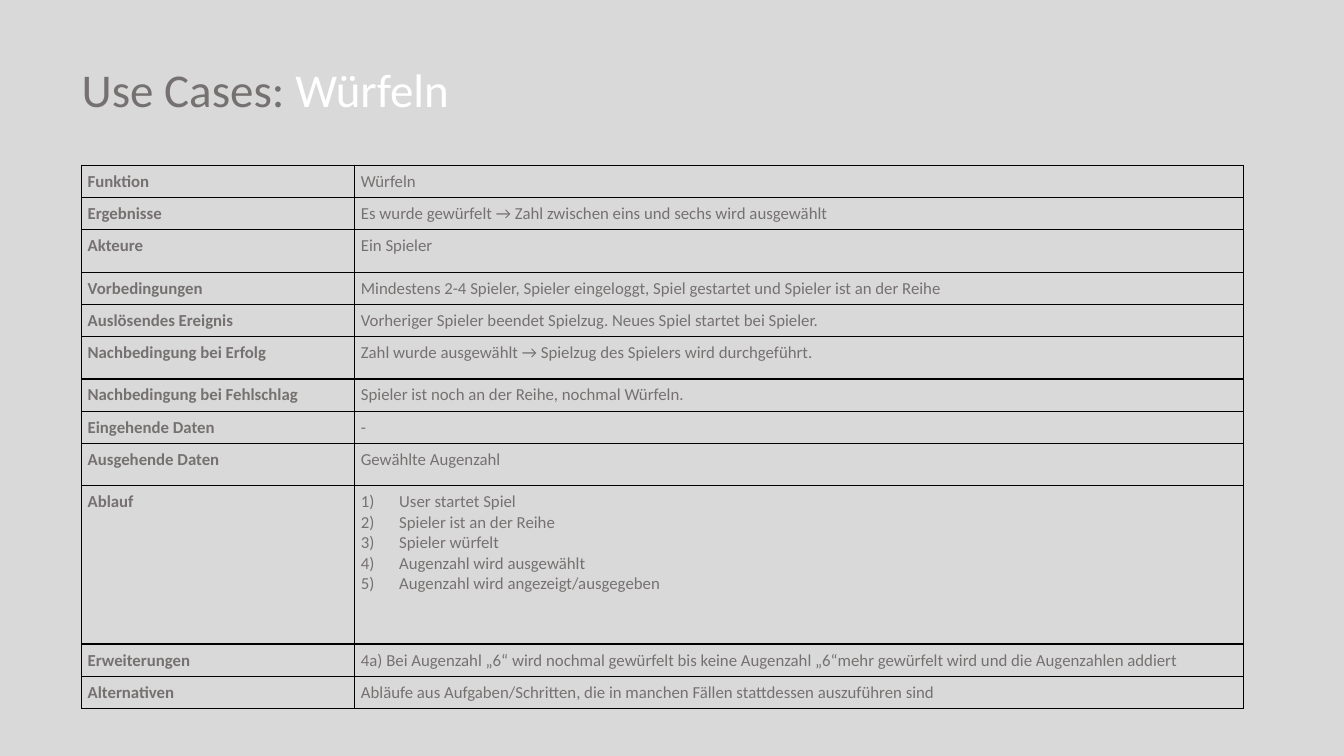
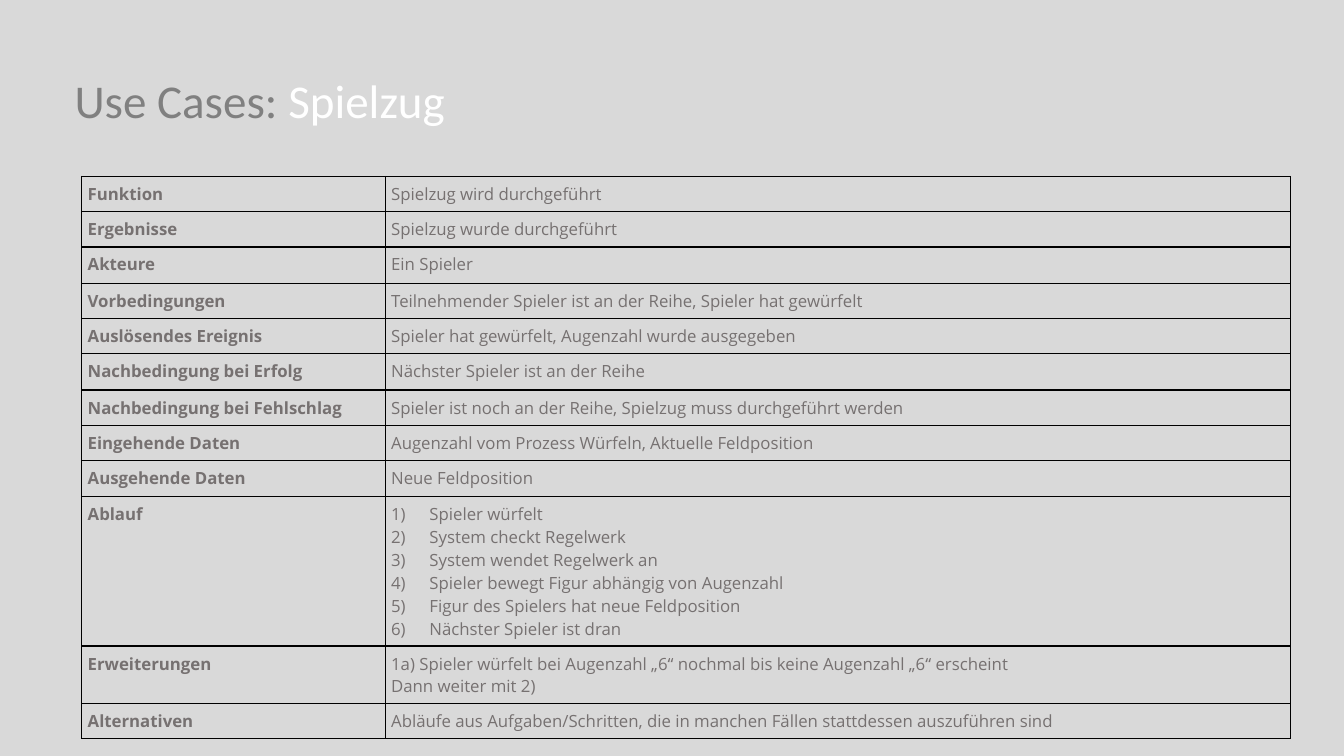
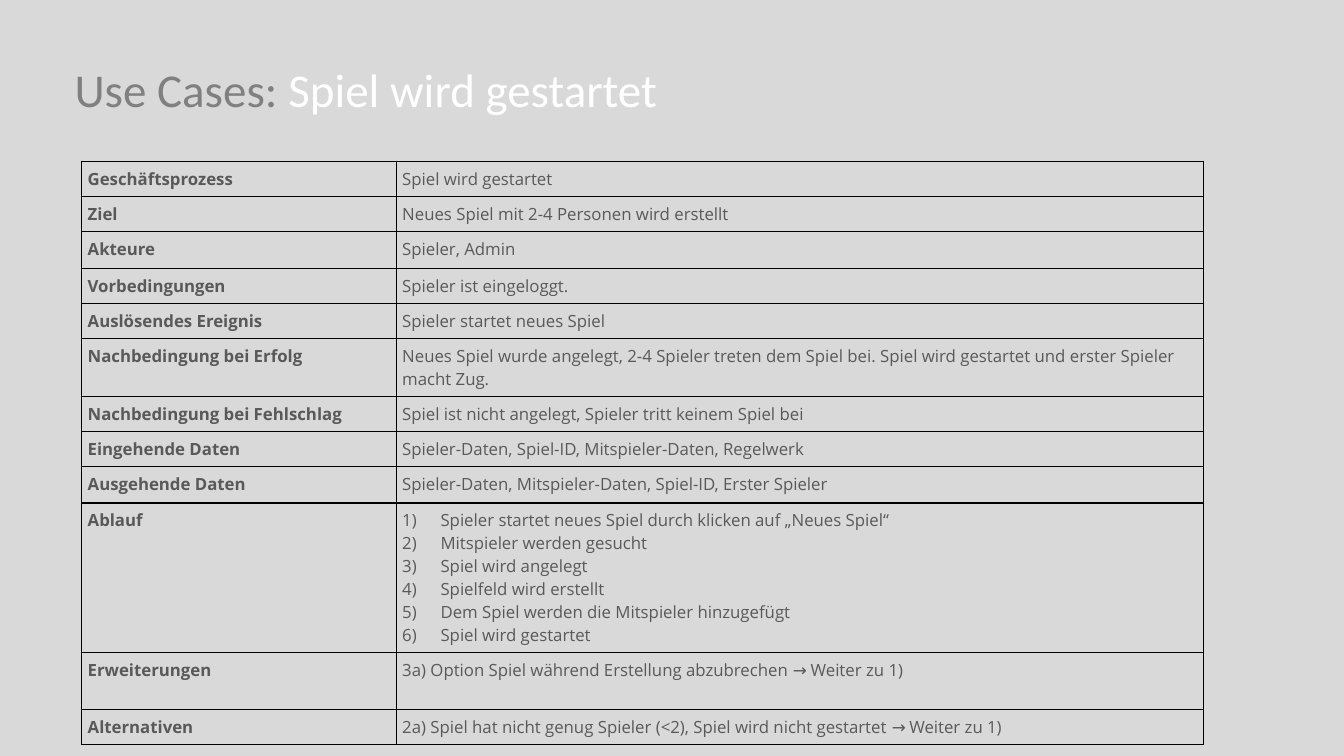
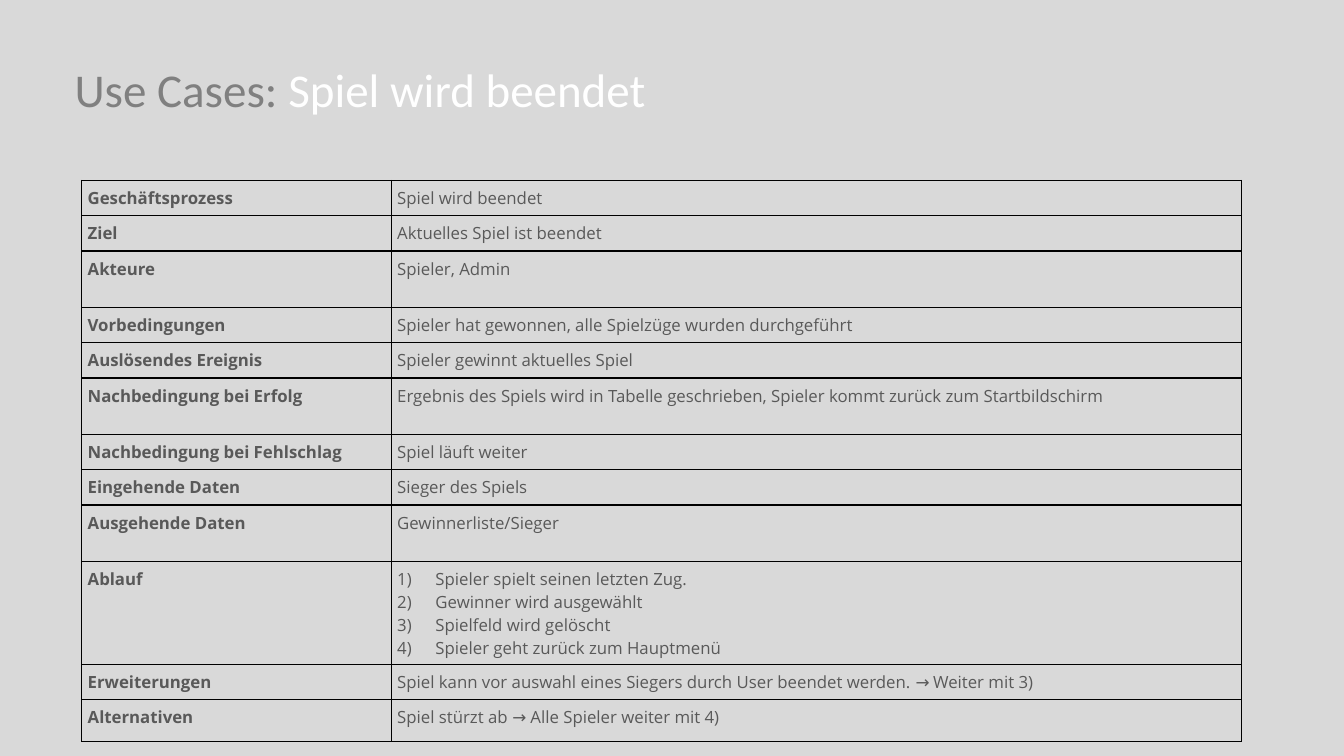
from lxml import etree
from pptx import Presentation
from pptx.dml.color import RGBColor
from pptx.enum.text import MSO_ANCHOR
from pptx.oxml.ns import qn
from pptx.util import Inches, Pt

TOP = MSO_ANCHOR.TOP
BLANK_LAYOUT = 6

BACKGROUND = "D9D9D9"
WHITE = "FFFFFF"
BLACK = "000000"
WARM_GRAY = "767171"
MID_GRAY = "808080"
DARK_GRAY = "595959"

TITLE_FONT = "Calibri"
BODY_FONT = "Open Sans"
TITLE_SIZE = 33.6
CELL_SIZE = 12
CELL_MARGIN = Inches(0.06)
LIST_INDENT = Inches(0.38)
TABLE_LEFT = 0.81

FUNCTION_LABELS = ["Funktion", "Ergebnisse"]
PROCESS_LABELS = ["Geschäftsprozess", "Ziel"]
COMMON_LABELS = [
    "Akteure", "Vorbedingungen", "Auslösendes Ereignis",
    "Nachbedingung bei Erfolg", "Nachbedingung bei Fehlschlag",
    "Eingehende Daten", "Ausgehende Daten", "Ablauf", "Erweiterungen",
    "Alternativen",
]
STEPS_LABEL = "Ablauf"

# A value that is a list holds one paragraph per entry.
USE_CASES = [
    {
        "name": "Würfeln",
        "title_at": (0.81, 0.59, 10.8, 0.98),
        "title_color": WARM_GRAY,
        "table_top": 1.64,
        "columns": (2.71, 8.81),
        "row_height": 0.32,
        "tall_rows": {
            "Akteure": 0.42, "Nachbedingung bei Erfolg": 0.42,
            "Ausgehende Daten": 0.42, "Ablauf": 1.57,
        },
        "font": TITLE_FONT,
        "color": WARM_GRAY,
        "border": 1,
        "labels": FUNCTION_LABELS,
        "values": [
            "Würfeln",
            "Es wurde gewürfelt → Zahl zwischen eins und sechs wird ausgewählt",
            "Ein Spieler",
            "Mindestens 2-4 Spieler, Spieler eingeloggt, Spiel gestartet und "
            "Spieler ist an der Reihe",
            "Vorheriger Spieler beendet Spielzug. Neues Spiel startet bei Spieler.",
            "Zahl wurde ausgewählt → Spielzug des Spielers wird durchgeführt.",
            "Spieler ist noch an der Reihe, nochmal Würfeln.",
            "-",
            "Gewählte Augenzahl",
            [
                "User startet Spiel",
                "Spieler ist an der Reihe",
                "Spieler würfelt",
                "Augenzahl wird ausgewählt",
                "Augenzahl wird angezeigt/ausgegeben",
            ],
            "4a) Bei Augenzahl „6“ wird nochmal gewürfelt bis keine Augenzahl "
            "„6“mehr gewürfelt wird und die Augenzahlen addiert",
            "Abläufe aus Aufgaben/Schritten, die in manchen Fällen "
            "stattdessen auszuführen sind",
        ],
    },
    {
        "name": "Spielzug",
        "title_at": (0.74, 0.7, 10.87, 0.88),
        "title_color": MID_GRAY,
        "table_top": 1.75,
        "columns": (3.01, 8.98),
        "row_height": 0.35,
        "tall_rows": {
            "Akteure": 0.36, "Nachbedingung bei Erfolg": 0.36,
            "Ausgehende Daten": 0.36, "Ablauf": 1.48, "Erweiterungen": 0.57,
        },
        "font": BODY_FONT,
        "color": WARM_GRAY,
        "border": 0.96,
        "labels": FUNCTION_LABELS,
        "values": [
            "Spielzug wird durchgeführt",
            "Spielzug wurde durchgeführt",
            "Ein Spieler",
            "Teilnehmender Spieler ist an der Reihe, Spieler hat gewürfelt",
            "Spieler hat gewürfelt, Augenzahl wurde ausgegeben",
            "Nächster Spieler ist an der Reihe",
            "Spieler ist noch an der Reihe, Spielzug muss durchgeführt werden",
            "Augenzahl vom Prozess Würfeln, Aktuelle Feldposition",
            "Neue Feldposition",
            [
                "Spieler würfelt",
                "System checkt Regelwerk",
                "System wendet Regelwerk an",
                "Spieler bewegt Figur abhängig von Augenzahl",
                "Figur des Spielers hat neue Feldposition",
                "Nächster Spieler ist dran",
            ],
            [
                "1a) Spieler würfelt bei Augenzahl „6“ nochmal bis keine "
                "Augenzahl „6“ erscheint",
                "Dann weiter mit 2)",
            ],
            "Abläufe aus Aufgaben/Schritten, die in manchen Fällen "
            "stattdessen auszuführen sind",
        ],
    },
    {
        "name": "Spiel wird gestartet",
        "title_at": (0.74, 0.59, 10.87, 0.98),
        "title_color": MID_GRAY,
        "table_top": 1.6,
        "columns": (3.12, 8.01),
        "row_height": 0.35,
        "tall_rows": {
            "Akteure": 0.36, "Nachbedingung bei Erfolg": 0.57,
            "Ausgehende Daten": 0.36, "Ablauf": 1.48, "Erweiterungen": 0.57,
        },
        "font": BODY_FONT,
        "color": DARK_GRAY,
        "border": 0.96,
        "labels": PROCESS_LABELS,
        "values": [
            "Spiel wird gestartet",
            "Neues Spiel mit 2-4 Personen wird erstellt",
            "Spieler, Admin",
            "Spieler ist eingeloggt.",
            "Spieler startet neues Spiel",
            "Neues Spiel wurde angelegt, 2-4 Spieler treten dem Spiel bei. "
            "Spiel wird gestartet und erster Spieler macht Zug.",
            "Spiel ist nicht angelegt, Spieler tritt keinem Spiel bei",
            "Spieler-Daten, Spiel-ID, Mitspieler-Daten, Regelwerk",
            "Spieler-Daten, Mitspieler-Daten, Spiel-ID, Erster Spieler",
            [
                "Spieler startet neues Spiel durch klicken auf „Neues Spiel“",
                "Mitspieler werden gesucht",
                "Spiel wird angelegt",
                "Spielfeld wird erstellt",
                "Dem Spiel werden die Mitspieler hinzugefügt",
                "Spiel wird gestartet",
            ],
            "3a) Option Spiel während Erstellung abzubrechen → Weiter zu 1)",
            "2a) Spiel hat nicht genug Spieler (<2), Spiel wird nicht "
            "gestartet → Weiter zu 1)",
        ],
    },
    {
        "name": "Spiel wird beendet",
        "title_at": (0.74, 0.59, 10.87, 0.98),
        "title_color": MID_GRAY,
        "table_top": 1.79,
        "columns": (3.07, 8.43),
        "row_height": 0.35,
        "tall_rows": {
            "Akteure": 0.56, "Nachbedingung bei Erfolg": 0.56,
            "Ausgehende Daten": 0.56, "Ablauf": 1.02, "Alternativen": 0.42,
        },
        "font": BODY_FONT,
        "color": DARK_GRAY,
        "border": 0.96,
        "labels": PROCESS_LABELS,
        "values": [
            "Spiel wird beendet",
            "Aktuelles Spiel ist beendet",
            "Spieler, Admin",
            "Spieler hat gewonnen, alle Spielzüge wurden durchgeführt",
            "Spieler gewinnt aktuelles Spiel",
            "Ergebnis des Spiels wird in Tabelle geschrieben, Spieler kommt "
            "zurück zum Startbildschirm",
            "Spiel läuft weiter",
            "Sieger des Spiels",
            "Gewinnerliste/Sieger",
            [
                "Spieler spielt seinen letzten Zug.",
                "Gewinner wird ausgewählt",
                "Spielfeld wird gelöscht",
                "Spieler geht zurück zum Hauptmenü",
            ],
            "Spiel kann vor auswahl eines Siegers durch User beendet werden. "
            "→ Weiter mit 3)",
            "Spiel stürzt ab → Alle Spieler weiter mit 4)",
        ],
    },
]


def rgb(color):
    """Turn a hex string into a colour."""
    return RGBColor.from_string(color)


def add_run(paragraph, text, *, font, size, color, bold=False):
    """Append formatted text to a paragraph."""
    run = paragraph.add_run()
    run.text = text
    run.font.name = font
    run.font.size = Pt(size)
    run.font.bold = bold
    run.font.color.rgb = rgb(color)


def number_paragraph(paragraph):
    """Give a paragraph automatic numbering and a hanging indent."""
    properties = paragraph._p.get_or_add_pPr()
    properties.set("marL", str(LIST_INDENT))
    properties.set("indent", str(-LIST_INDENT))
    etree.SubElement(properties, qn("a:buAutoNum"), type="arabicParenR")


def set_borders(cell, width):
    """Draw a black line on all four sides of a cell."""
    properties = cell._tc.get_or_add_tcPr()
    for position, side in enumerate(("a:lnL", "a:lnR", "a:lnT", "a:lnB")):
        line = etree.Element(qn(side), w=str(Pt(width)))
        fill = etree.SubElement(line, qn("a:solidFill"))
        etree.SubElement(fill, qn("a:srgbClr"), val=BLACK)
        properties.insert(position, line)


def fill_cell(cell, lines, *, border, numbered=False, **text_format):
    """Write lines into a transparent, bordered cell."""
    cell.fill.background()
    cell.margin_left = cell.margin_right = CELL_MARGIN
    cell.margin_top = cell.margin_bottom = CELL_MARGIN
    cell.vertical_anchor = TOP
    set_borders(cell, border)
    frame = cell.text_frame
    for index, line in enumerate(lines):
        paragraph = frame.add_paragraph() if index else frame.paragraphs[0]
        if numbered:
            number_paragraph(paragraph)
        add_run(paragraph, line, **text_format)


def add_title(slide, use_case):
    """Add the two-coloured slide title."""
    box = slide.shapes.add_textbox(*map(Inches, use_case["title_at"]))
    frame = box.text_frame
    frame.word_wrap = True
    frame.vertical_anchor = TOP
    frame.margin_left = frame.margin_right = 0
    frame.margin_top = frame.margin_bottom = Inches(0.01)
    parts = [("Use Cases: ", use_case["title_color"]), (use_case["name"], WHITE)]
    for text, color in parts:
        add_run(frame.paragraphs[0], text, font=TITLE_FONT, size=TITLE_SIZE,
                color=color)


def add_use_case_table(slide, use_case):
    """Add the table of labels and descriptions."""
    labels = use_case["labels"] + COMMON_LABELS
    heights = [use_case["tall_rows"].get(label, use_case["row_height"])
               for label in labels]
    columns = use_case["columns"]
    table = slide.shapes.add_table(
        len(labels), len(columns), Inches(TABLE_LEFT),
        Inches(use_case["table_top"]), Inches(sum(columns)),
        Inches(sum(heights))).table
    table.first_row = table.horz_banding = False
    for column, width in zip(table.columns, columns):
        column.width = Inches(width)

    cell_format = {"font": use_case["font"], "size": CELL_SIZE,
                   "color": use_case["color"], "border": use_case["border"]}
    rows = zip(table.rows, heights, labels, use_case["values"])
    for row, height, label, value in rows:
        row.height = Inches(height)
        lines = value if isinstance(value, list) else [value]
        fill_cell(row.cells[0], [label], bold=True, **cell_format)
        fill_cell(row.cells[1], lines, numbered=label == STEPS_LABEL,
                  **cell_format)


def add_use_case_slide(presentation, use_case):
    """Add one slide with its background, title and table."""
    slide = presentation.slides.add_slide(
        presentation.slide_layouts[BLANK_LAYOUT])
    slide.background.fill.solid()
    slide.background.fill.fore_color.rgb = rgb(BACKGROUND)
    add_title(slide, use_case)
    add_use_case_table(slide, use_case)


def main():
    """Build and save the presentation."""
    presentation = Presentation()
    presentation.slide_width = Inches(13.33)
    presentation.slide_height = Inches(7.5)
    for use_case in USE_CASES:
        add_use_case_slide(presentation, use_case)
    presentation.save("out.pptx")


main()
